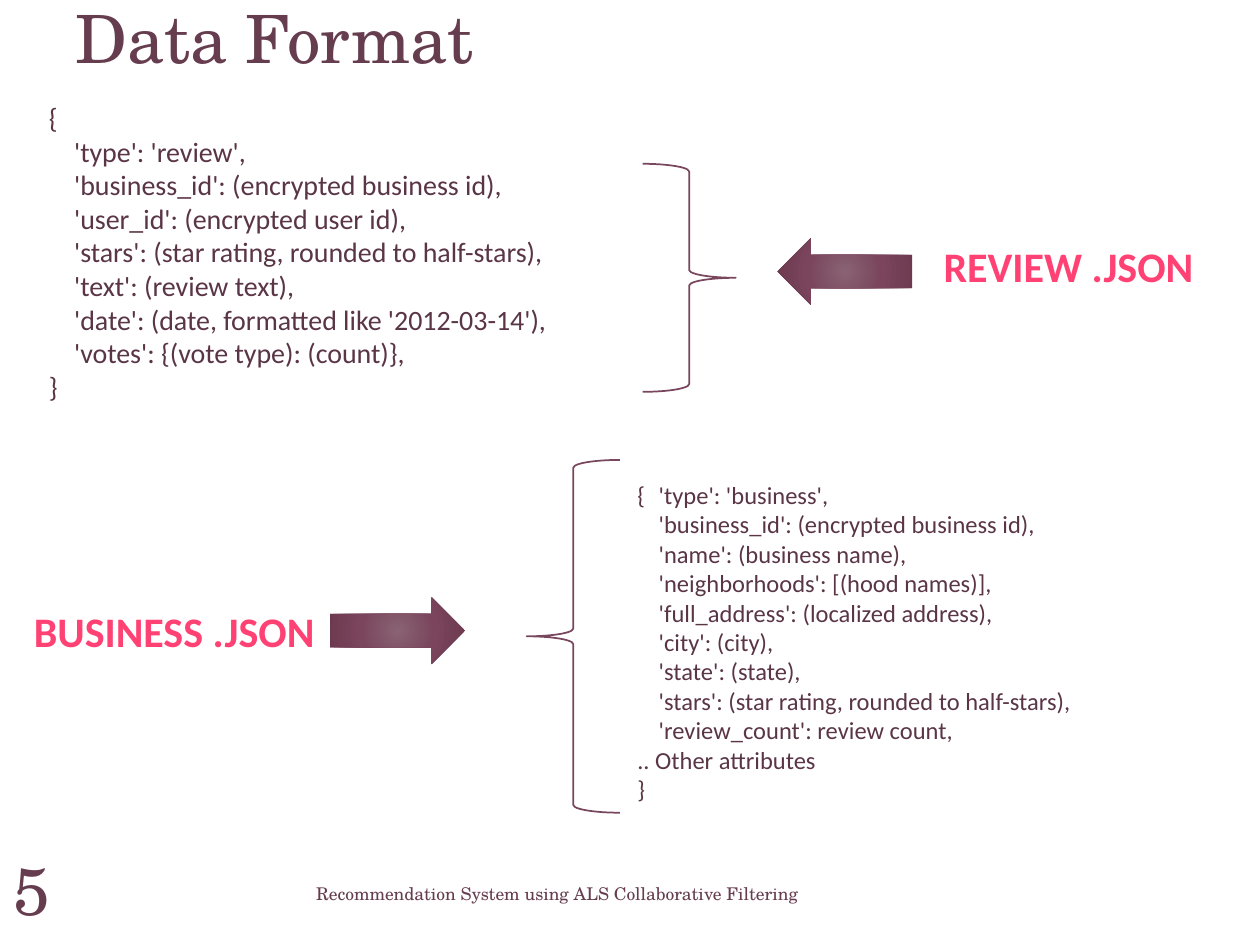
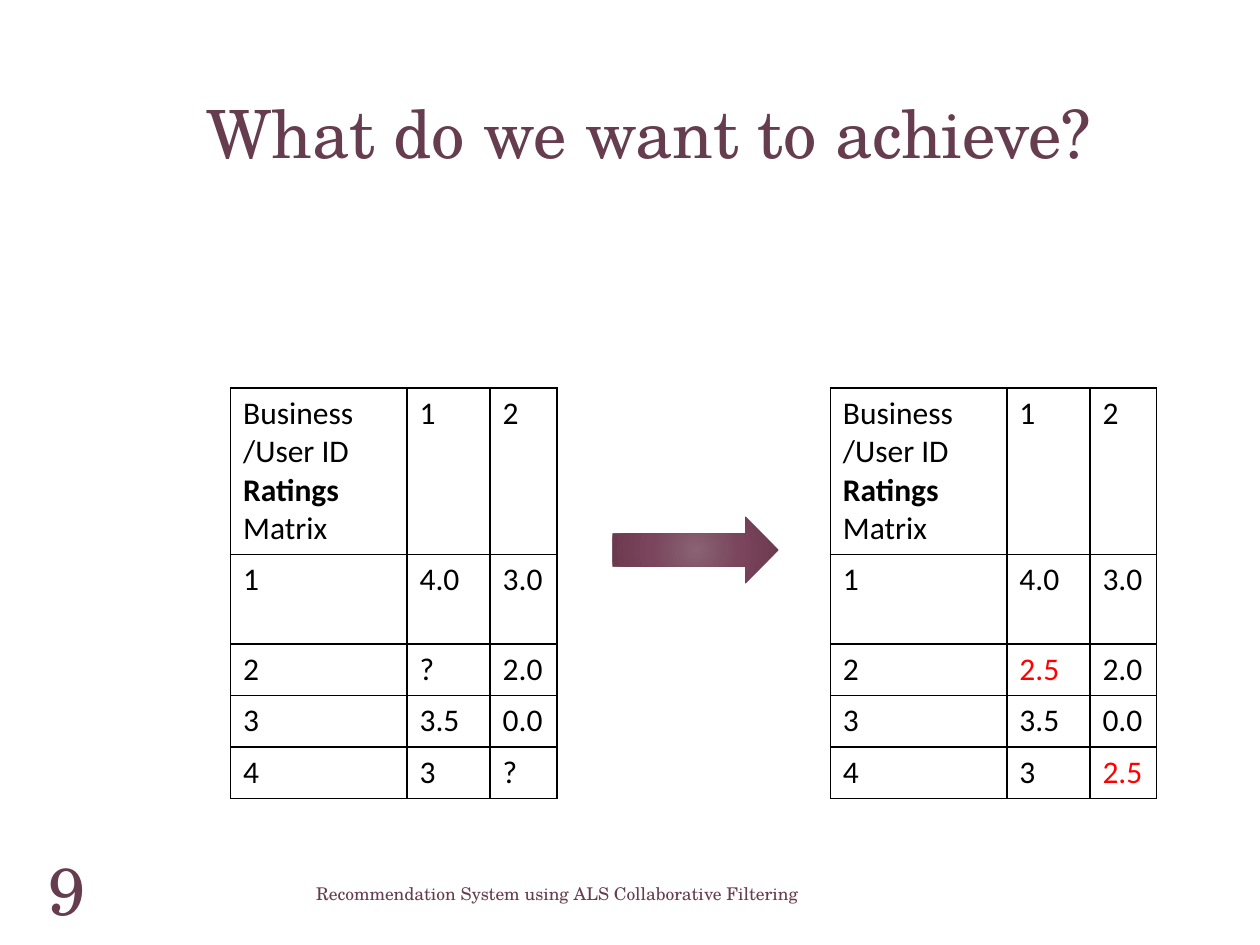
from pptx import Presentation
from pptx.dml.color import RGBColor
from pptx.enum.shapes import MSO_SHAPE
from pptx.enum.text import MSO_ANCHOR, PP_ALIGN
from pptx.oxml import parse_xml
from pptx.oxml.ns import nsdecls
from pptx.util import Inches, Pt

LEFT_ARROW, RIGHT_BRACE = MSO_SHAPE.LEFT_ARROW, MSO_SHAPE.RIGHT_BRACE
TOP, MIDDLE, BOTTOM = MSO_ANCHOR.TOP, MSO_ANCHOR.MIDDLE, MSO_ANCHOR.BOTTOM
LEFT, RIGHT = PP_ALIGN.LEFT, PP_ALIGN.RIGHT

HEADING_FONT, BODY_FONT = "TeX Gyre Schola", "Calibri"
PLUM, CODE, BRACE, PINK = "663D4E", "5A3546", "78475D", "FF4273"
BLACK, RED = "000000", "FF0000"
ARROW_STOPS = ((0, "896373"), (50, "7A455D"), (100, "6A384E"))

FOOTER = "Recommendation System using ALS Collaborative Filtering"
REVIEW_FIELDS = [
    "'type': 'review',",
    "'business_id': (encrypted business id),",
    "'user_id': (encrypted user id),",
    "'stars': (star rating, rounded to half-stars),",
    "'text': (review text),",
    "'date': (date, formatted like '2012-03-14'),",
    "'votes': {(vote type): (count)},",
]
BUSINESS_FIELDS = [
    "'business_id': (encrypted business id),",
    "'name': (business name),",
    "'neighborhoods': [(hood names)],",
    "'full_address': (localized address),",
    "'city': (city),",
    "'state': (state),",
    "'stars': (star rating, rounded to half-stars),",
    "'review_count': review count,",
]
RATINGS = [("4.0", "3.0"), ("?", "2.0"), ("3.5", "0.0"), ("3", "?")]
PREDICTION = "2.5"
COLUMN_WIDTHS = (1.4, 0.66, 0.53)
ROW_HEIGHTS = (1.32, 0.71, 0.41, 0.41, 0.41)


def rgb(hex_colour):
    """Turn a hex string into a colour."""
    return RGBColor.from_string(hex_colour)


def write(paragraph, text, size=18, font=BODY_FONT, colour=BLACK, bold=False,
          align=LEFT, spacing=None):
    """Add a formatted run to a paragraph."""
    paragraph.alignment = align
    if spacing:
        paragraph.line_spacing = spacing
    run = paragraph.add_run()
    run.text = text
    run.font.size = Pt(size)
    run.font.name = font
    run.font.bold = bold
    run.font.color.rgb = rgb(colour)


def add_paragraph(frame, index):
    """Return the first paragraph of a frame, or a new one after it."""
    return frame.add_paragraph() if index else frame.paragraphs[0]


def add_frame(slide, box, anchor=TOP, wrap=True):
    """Place an empty text box and return its text frame."""
    frame = slide.shapes.add_textbox(*map(Inches, box)).text_frame
    frame.word_wrap = wrap
    frame.vertical_anchor = anchor
    return frame


def add_heading(slide, box, text, size=38, anchor=TOP, **style):
    """Place a text in the heading font."""
    paragraph = add_frame(slide, box, anchor).paragraphs[0]
    write(paragraph, text, size=size, font=HEADING_FONT, colour=PLUM, **style)


def add_base(deck, title, title_box, number, number_left):
    """Start a slide with its title, footer and number."""
    slide = deck.slides.add_slide(deck.slide_layouts[6])
    add_heading(slide, title_box, title, spacing=0.99)
    add_heading(slide, (2.41, 6.89, 4.65, 0.4), FOOTER, size=10, anchor=MIDDLE)
    add_heading(slide, (number_left, 6.76, 1.55, 0.66), number, anchor=BOTTOM,
                align=RIGHT)
    return slide


def add_arrow(slide, box, rotation=0):
    """Place a block arrow with a radial plum gradient."""
    arrow = slide.shapes.add_shape(LEFT_ARROW, *map(Inches, box))
    arrow.rotation = rotation
    arrow.shadow.inherit = False
    arrow.line.fill.background()
    stops = "".join(
        f'<a:gs pos="{position * 1000}"><a:srgbClr val="{colour}"/></a:gs>'
        for position, colour in ARROW_STOPS)
    gradient = parse_xml(
        f'<a:gradFill {nsdecls("a")} rotWithShape="1"><a:gsLst>{stops}</a:gsLst>'
        '<a:path path="circle"><a:fillToRect l="100000" t="100000" r="100000" '
        'b="100000"/></a:path></a:gradFill>')
    arrow._element.spPr.prstGeom.addnext(gradient)


def add_brace(slide, box, rotation=0):
    """Place a thin curly brace."""
    brace = slide.shapes.add_shape(RIGHT_BRACE, *map(Inches, box))
    brace.rotation = rotation
    brace.shadow.inherit = False
    brace.fill.background()
    brace.line.color.rgb = rgb(BRACE)
    brace.line.width = Pt(1)


def add_file_label(slide, box, text):
    """Place the name of a data file."""
    paragraph = add_frame(slide, box, wrap=False).paragraphs[0]
    write(paragraph, text, size=24, colour=PINK, bold=True)


def add_record(slide, box, opening, fields, closing, size):
    """Place a record with its fields indented between the outer lines."""
    frame = add_frame(slide, box)
    indent = Inches(round(size / 80, 2))
    for index, text in enumerate([opening, *fields, *closing]):
        paragraph = add_paragraph(frame, index)
        write(paragraph, text, size=size, colour=CODE)
        is_field = 0 < index <= len(fields)
        properties = paragraph._p.get_or_add_pPr()
        properties.set("marL", str(indent))
        properties.set("indent", str(0 if is_field else -indent))


def add_borders(cell):
    """Draw a thin black line on each side of a cell."""
    properties = cell._tc.get_or_add_tcPr()
    for position, side in enumerate(("lnL", "lnR", "lnT", "lnB")):
        properties.insert(position, parse_xml(
            f'<a:{side} {nsdecls("a")} w="12700"><a:solidFill>'
            f'<a:srgbClr val="{BLACK}"/></a:solidFill></a:{side}>'))


def add_matrix(slide, left, top, ratings, predicted=()):
    """Place a ratings matrix with its predicted cells in red."""
    size = (sum(COLUMN_WIDTHS), sum(ROW_HEIGHTS))
    table = slide.shapes.add_table(
        len(ROW_HEIGHTS), len(COLUMN_WIDTHS),
        *map(Inches, (left, top, *size))).table
    table.first_row = table.horz_banding = False
    for column, width in zip(table.columns, COLUMN_WIDTHS):
        column.width = Inches(width)
    for row, height in zip(table.rows, ROW_HEIGHTS):
        row.height = Inches(height)
    rows = [("", "1", "2")]
    rows += [(str(user), *values) for user, values in enumerate(ratings, 1)]
    for row, values in enumerate(rows):
        for column, value in enumerate(values):
            cell = table.cell(row, column)
            cell.fill.background()
            add_borders(cell)
            if value:
                colour = RED if (row, column) in predicted else BLACK
                write(cell.text_frame.paragraphs[0], value, colour=colour)
    corner = table.cell(0, 0).text_frame
    for index, text in enumerate(("Business", "/User ID", "Ratings")):
        write(add_paragraph(corner, index), text, bold=text == "Ratings")
    write(corner.paragraphs[-1], " Matrix")


def add_format_slide(deck):
    """Build the slide on the two data files."""
    slide = add_base(deck, "Data Format", (0.5, -0.05, 9, 1.25), "5", -1.05)
    add_record(slide, (0.29, 0.75, 5, 2.56), "{", REVIEW_FIELDS, ["}"], 16)
    add_brace(slide, (5.1, 1.3, 0.74, 1.81))
    add_arrow(slide, (6.17, 1.89, 1.07, 0.53))
    add_file_label(slide, (7.39, 1.86, 2.2, 0.5), "REVIEW .JSON")
    add_record(slide, (4.96, 3.76, 5, 2.69), "{\t'type': 'business',",
               BUSINESS_FIELDS, [".. Other attributes", "}"], 14)
    add_brace(slide, (4.18, 3.65, 0.74, 2.8), rotation=180)
    add_arrow(slide, (2.62, 4.74, 1.07, 0.53), rotation=180)
    add_file_label(slide, (0.17, 4.76, 2.45, 0.5), "BUSINESS .JSON")


def add_goal_slide(deck):
    """Build the slide on filling the gaps in the ratings."""
    slide = add_base(deck, "What do we want to achieve?",
                     (1.54, 0.71, 7.3, 1.71), "9", -0.77)
    gaps = {(row, column) for row, values in enumerate(RATINGS, 1)
            for column, value in enumerate(values, 1) if value == "?"}
    filled = [[PREDICTION if value == "?" else value for value in values]
              for values in RATINGS]
    add_matrix(slide, 1.83, 3.08, RATINGS)
    add_arrow(slide, (4.86, 4.1, 1.32, 0.53), rotation=180)
    add_matrix(slide, 6.59, 3.08, filled, predicted=gaps)


def main():
    """Build and save the deck."""
    deck = Presentation()
    deck.slide_width, deck.slide_height = Inches(10), Inches(7.5)
    add_format_slide(deck)
    add_goal_slide(deck)
    deck.save("out.pptx")


main()
